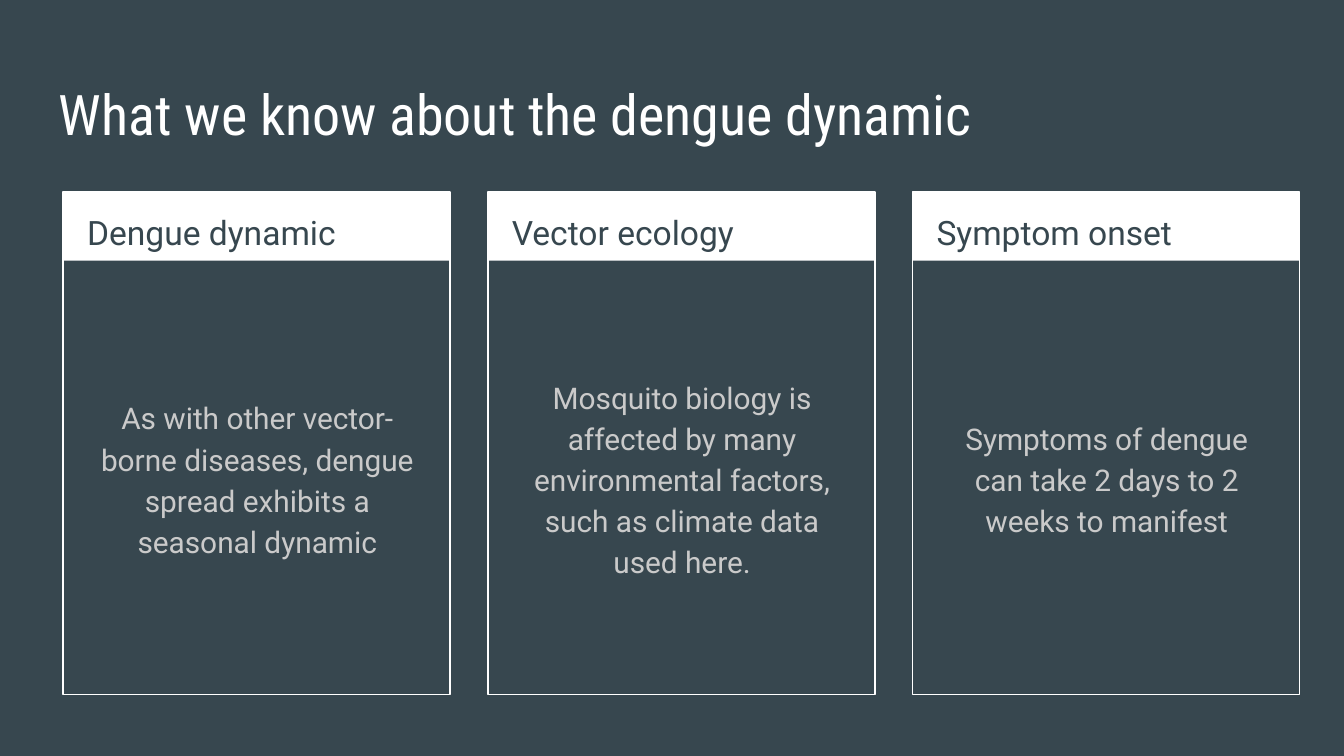
from pptx import Presentation
from pptx.dml.color import RGBColor
from pptx.enum.shapes import MSO_SHAPE as Shape
from pptx.enum.text import MSO_ANCHOR as Anchor, PP_ALIGN as Align
from pptx.util import Inches, Pt

COLORS = {"slate": "37474F", "white": "FFFFFF", "grey": "CACACA"}
LEFT, TOP, WIDTH, STEP = 0.47, 1.43, 2.88, 3.16
CARDS = [
    ("Dengue dynamic",
     "As with other vector-borne diseases, dengue spread exhibits a seasonal dynamic"),
    ("Vector ecology",
     "Mosquito biology is affected by many environmental factors, "
     "such as climate data used here."),
    ("Symptom onset",
     "Symptoms of dengue can take 2 days to 2 weeks to manifest"),
]


def color(name):
    return RGBColor.from_string(COLORS[name])


def add_text(slide, box, text, size, tone, font="Roboto", spacing=1.15,
             align=Align.LEFT, anchor=Anchor.TOP, after=0):
    frame = slide.shapes.add_textbox(*map(Inches, box)).text_frame
    frame.word_wrap = True
    frame.vertical_anchor = anchor
    frame.margin_left = frame.margin_right = Inches(0.1)
    frame.margin_top = frame.margin_bottom = Inches(0.1)
    frame.text = text
    para = frame.paragraphs[0]
    para.alignment = align
    para.line_spacing = spacing
    para.space_after = Pt(after)
    face = para.runs[0].font
    face.name = font
    face.size = Pt(size)
    face.color.rgb = color(tone)


def add_rect(slide, box, fill=None, line=None):
    rect = slide.shapes.add_shape(Shape.RECTANGLE, *map(Inches, box))
    rect.shadow.inherit = False
    if fill:
        rect.fill.solid()
        rect.fill.fore_color.rgb = color(fill)
    else:
        rect.fill.background()
    if line:
        rect.line.color.rgb = color(line)
        rect.line.width = Pt(0.75)
    else:
        rect.line.fill.background()


def add_card(slide, left, head, body):
    add_rect(slide, (left, TOP, WIDTH, 0.51), fill="white")
    add_rect(slide, (left, TOP, WIDTH, 3.74), line="white")
    add_text(slide, (left + 0.08, TOP, 2.73, 0.5), head, 18, "slate")
    add_text(slide, (left + 0.09, 2.02, 2.71, 3.06), body, 16, "grey",
             align=Align.CENTER, anchor=Anchor.MIDDLE, after=16)


def main():
    deck = Presentation()
    deck.slide_width = Inches(10)
    deck.slide_height = deck.slide_width * 9 // 16
    slide = deck.slides.add_slide(deck.slide_layouts[6])
    back = slide.background.fill
    back.solid()
    back.fore_color.rgb = color("slate")
    add_text(slide, (0.34, 0.49, 9.32, 0.63),
             "What we know about the dengue dynamic", 30, "white",
             font="Roboto Condensed", spacing=1.0)
    for i, (head, body) in enumerate(CARDS):
        add_card(slide, LEFT + i * STEP, head, body)
    deck.save("out.pptx")


if __name__ == "__main__":
    main()
